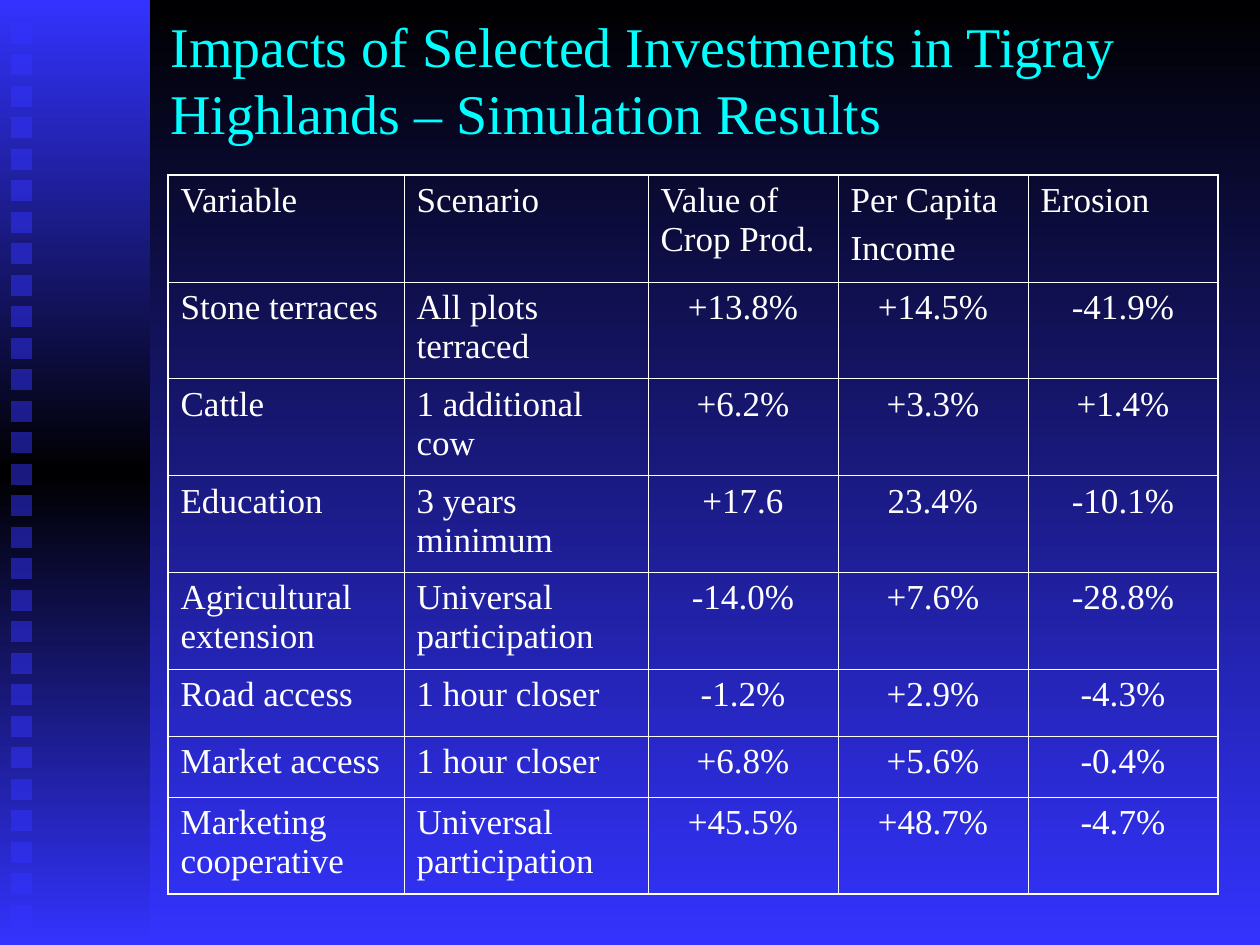
from lxml import etree
from pptx import Presentation
from pptx import util as u
from pptx.dml.color import RGBColor
from pptx.enum import shapes, text
from pptx.oxml.ns import qn

PX = u.Inches(1) / 126
THEME = {
    "font": "Times New Roman",
    "blue": "3333FF", "black": "000000", "title": "00FFFF", "white": "FFFFFF",
    "title_size": 32, "cell_size": 20, "gap": 5,
    "outer_line": 1.08, "inner_line": 0.45,
}


def write(tf, lines, size, color, align=text.PP_ALIGN.LEFT,
          anchor=text.MSO_ANCHOR.TOP):
    """Fill a text frame, one paragraph for each line of the string."""
    tf.word_wrap = True
    tf.vertical_anchor = anchor
    for i, line in enumerate(lines.split("\n")):
        p = tf.paragraphs[0] if i == 0 else tf.add_paragraph()
        p.alignment = align
        if i:
            p.space_before = u.Pt(THEME["gap"])
        r = p.add_run()
        r.text = line
        r.font.name = THEME["font"]
        r.font.size = u.Pt(size)
        r.font.color.rgb = RGBColor.from_string(color)


def shade_down(fill, element, colors):
    """Give a fill evenly spaced gradient stops from top to bottom."""
    fill.gradient()
    fill.gradient_angle = 270
    stops = next(element.iter(qn("a:gsLst")))
    stops.clear()
    for i, color in enumerate(colors):
        stop = etree.SubElement(stops, qn("a:gs"), pos=str(100000 * i // (len(colors) - 1)))
        etree.SubElement(stop, qn("a:srgbClr"), val=color)


prs = Presentation()
prs.slide_width, prs.slide_height = round(1260 * PX), round(945 * PX)
s = prs.slides.add_slide(prs.slide_layouts[6])
shade_down(s.background.fill, s.element, [THEME["black"], THEME["blue"]])

# Side band with its column of translucent squares
band = s.shapes.add_shape(shapes.MSO_SHAPE.RECTANGLE, 0, 0, round(150 * PX), prs.slide_height)
band.shadow.inherit = False
band.line.fill.background()
shade_down(band.fill, band.element, [THEME["blue"], THEME["black"], THEME["blue"]])

for i in range(29):
    top = 23 + i * 63 // 2
    square = s.shapes.add_shape(shapes.MSO_SHAPE.RECTANGLE, round(11 * PX), round(top * PX),
                                round(21 * PX), round(21 * PX))
    square.shadow.inherit = False
    square.line.fill.background()
    square.fill.solid()
    square.fill.fore_color.rgb = RGBColor.from_string(THEME["blue"])
    color = next(square.element.spPr.iter(qn("a:srgbClr")))
    etree.SubElement(color, qn("a:alpha"), val="50000")

# Title
title = s.shapes.add_textbox(round(158 * PX), 0, round(1176 * PX), round(157 * PX))
write(title.text_frame,
      "Impacts of Selected Investments in Tigray Highlands – Simulation Results",
      THEME["title_size"], THEME["title"], anchor=text.MSO_ANCHOR.MIDDLE)

# Results table
rows = [
    ("Variable", "Scenario", "Value of Crop Prod.", "Per Capita\nIncome", "Erosion"),
    ("Stone terraces", "All plots terraced", "+13.8%", "+14.5%", "-41.9%"),
    ("Cattle", "1 additional cow", "+6.2%", "+3.3%", "+1.4%"),
    ("Education", "3 years minimum", "+17.6", "23.4%", "-10.1%"),
    ("Agricultural extension", "Universal participation", "-14.0%", "+7.6%", "-28.8%"),
    ("Road access", "1 hour closer", "-1.2%", "+2.9%", "-4.3%"),
    ("Market access", "1 hour closer", "+6.8%", "+5.6%", "-0.4%"),
    ("Marketing cooperative", "Universal participation", "+45.5%", "+48.7%", "-4.7%"),
]
widths = [236, 244, 190, 190, 190]
heights = [107, 96, 97, 96, 97, 67, 61, 96]
table = s.shapes.add_table(len(rows), len(widths), round(168 * PX), round(175 * PX),
                           round(sum(widths) * PX), round(sum(heights) * PX)).table
table.first_row = table.horz_banding = False
for column, width in zip(table.columns, widths):
    column.width = round(width * PX)
for row, height in zip(table.rows, heights):
    row.height = round(height * PX)

last_row, last_col = len(rows) - 1, len(widths) - 1
for y, row in enumerate(rows):
    for x, value in enumerate(row):
        cell = table.cell(y, x)
        is_number = y > 0 and x > 1
        write(cell.text_frame, value, THEME["cell_size"], THEME["white"],
              align=text.PP_ALIGN.CENTER if is_number else text.PP_ALIGN.LEFT)
        tcPr = cell._tc.get_or_add_tcPr()
        sides = {"L": x == 0, "R": x == last_col, "T": y == 0, "B": y == last_row}
        for side, is_outer in sides.items():
            weight = THEME["outer_line" if is_outer else "inner_line"]
            ln = etree.SubElement(tcPr, qn(f"a:ln{side}"), w=str(u.Pt(weight)))
            line_fill = etree.SubElement(ln, qn("a:solidFill"))
            etree.SubElement(line_fill, qn("a:srgbClr"), val=THEME["white"])
        cell.fill.background()

prs.save("out.pptx")
